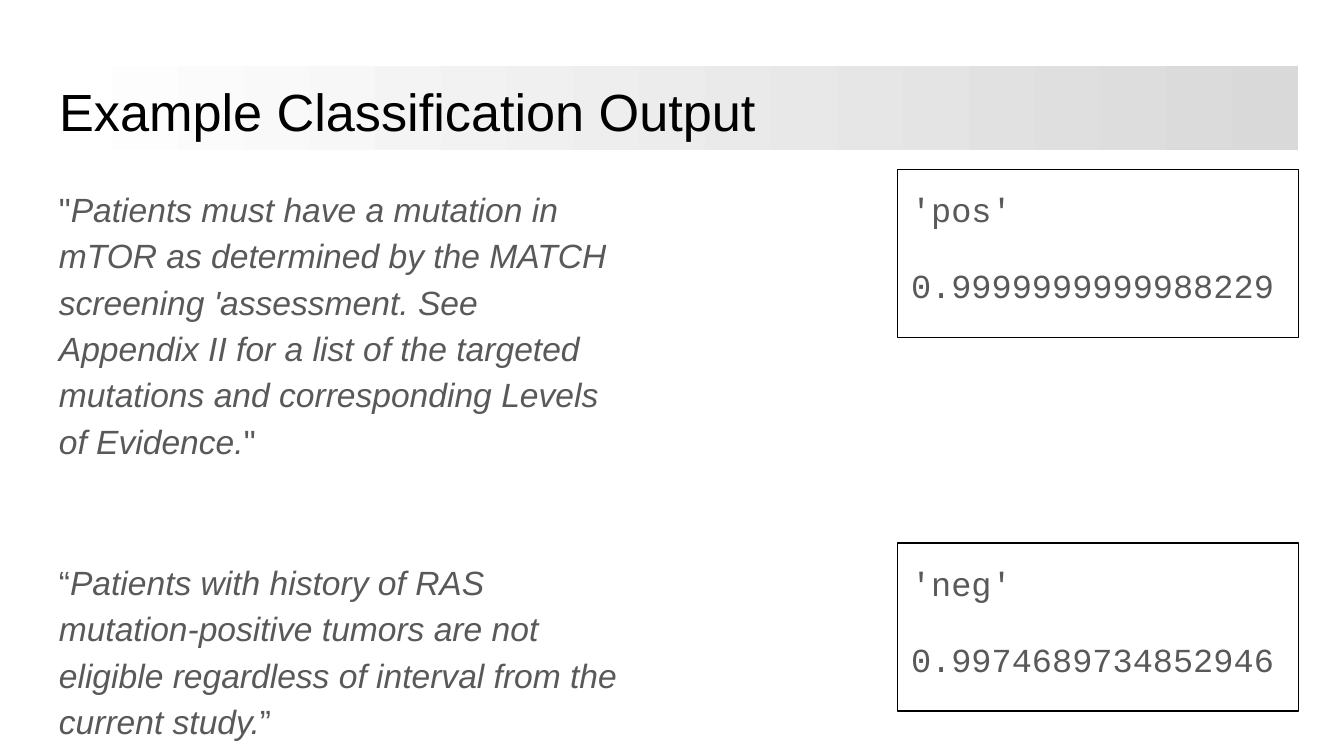
from pptx import Presentation
from pptx.dml.color import RGBColor
from pptx.enum.shapes import MSO_SHAPE
from pptx.enum.text import MSO_ANCHOR, MSO_AUTO_SIZE, PP_ALIGN
from pptx.util import Inches, Pt

RECT = MSO_SHAPE.RECTANGLE
TOP = MSO_ANCHOR.TOP
NO_FIT = MSO_AUTO_SIZE.NONE
LEFT = PP_ALIGN.LEFT

COLORS = {"black": "000000", "text": "595959", "white": "FFFFFF", "grey": "D9D9D9"}


def rgb(name):
    return RGBColor.from_string(COLORS[name])


class SlideBuilder:
    body_font = "Arial"
    code_font = "Courier New"
    body_size = 18
    title_size = 28
    spacing = 1.15

    def __init__(self, prs):
        self.s = prs.slides.add_slide(prs.slide_layouts[5])

    def place(self, sp, x, y, w, h):
        sp.left, sp.top, sp.width, sp.height = (Inches(v) for v in (x, y, w, h))

    def frame(self, sp):
        tf = sp.text_frame
        tf.auto_size = NO_FIT
        tf.word_wrap = True
        tf.vertical_anchor = TOP
        tf.margin_left = tf.margin_right = Inches(0.1)
        tf.margin_top = tf.margin_bottom = Inches(0.1)
        return tf

    def style(self, r, font, size, color):
        r.font.name = font
        r.font.size = Pt(size)
        r.font.color.rgb = rgb(color)

    def paragraph(self, tf, index, before):
        p = tf.add_paragraph() if index else tf.paragraphs[0]
        p.alignment = LEFT
        p.line_spacing = self.spacing
        p.space_before = Pt(before if index else 0)
        return p

    def title(self, text, x, y, w, h):
        sp = self.s.shapes.title
        self.place(sp, x, y, w, h)
        sp.fill.gradient()
        sp.fill.gradient_angle = 0
        for stop, color in zip(sp.fill.gradient_stops, ("white", "grey")):
            stop.color.rgb = rgb(color)
        tf = self.frame(sp)
        tf.text = text
        p = tf.paragraphs[0]
        p.alignment = LEFT
        p.line_spacing = 1.0
        self.style(p.runs[0], self.body_font, self.title_size, "black")

    def quotes(self, quotes, x, y, w, h):
        sp = self.s.shapes.add_textbox(*(Inches(v) for v in (x, y, w, h)))
        tf = self.frame(sp)
        for i, parts in enumerate(quotes):
            p = self.paragraph(tf, i, 51)
            for text, italic in zip(parts, (False, True, False)):
                r = p.add_run()
                r.text = text
                r.font.italic = italic
                self.style(r, self.body_font, self.body_size, "text")

    def result(self, label, score, x, y, w, h):
        sp = self.s.shapes.add_shape(RECT, *(Inches(v) for v in (x, y, w, h)))
        sp.shadow.inherit = False
        sp.fill.background()
        sp.line.color.rgb = rgb("black")
        sp.line.width = Pt(0.75)
        tf = self.frame(sp)
        for i, text in enumerate((label, score)):
            p = self.paragraph(tf, i, 16)
            p.text = text
            self.style(p.runs[0], self.code_font, self.body_size, "text")


def main():
    prs = Presentation()
    prs.slide_width = Inches(10)
    prs.slide_height = prs.slide_width * 9 // 16

    slide = SlideBuilder(prs)
    slide.title("Example Classification Output", 0.34, 0.49, 9.32, 0.63)
    slide.quotes(
        [
            ('"', "Patients must have a mutation in mTOR as determined by the MATCH "
             "screening 'assessment. See Appendix II for a list of the targeted "
             "mutations and corresponding Levels of Evidence.", '"'),
            ("“", "Patients with history of RAS mutation-positive tumors are not "
             "eligible regardless of interval from the current study.", "”"),
        ],
        0.34, 1.26, 4.37, 3.74,
    )
    results = [("'pos'", "0.9999999999988229", 1.26), ("'neg'", "0.9974689734852946", 4.04)]
    for label, score, y in results:
        slide.result(label, score, 6.68, y, 2.98, 1.25)

    prs.save("out.pptx")


if __name__ == "__main__":
    main()
